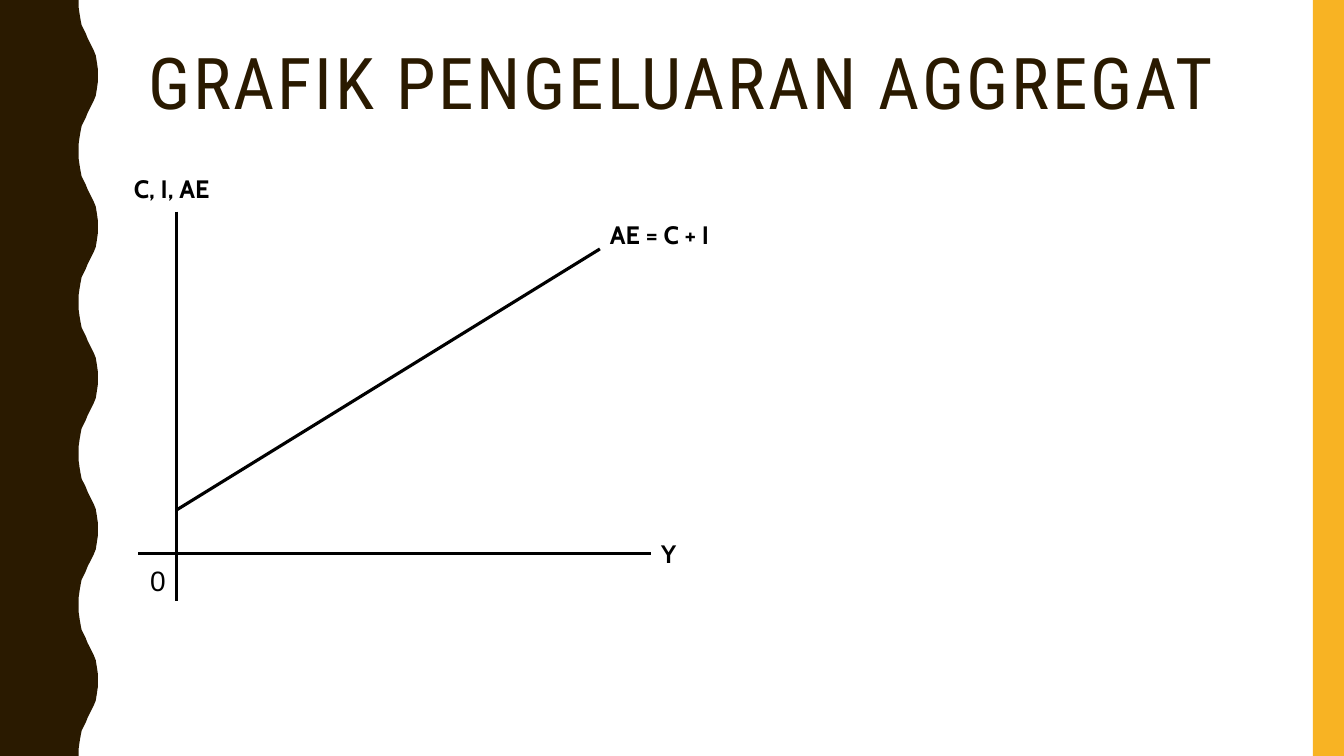
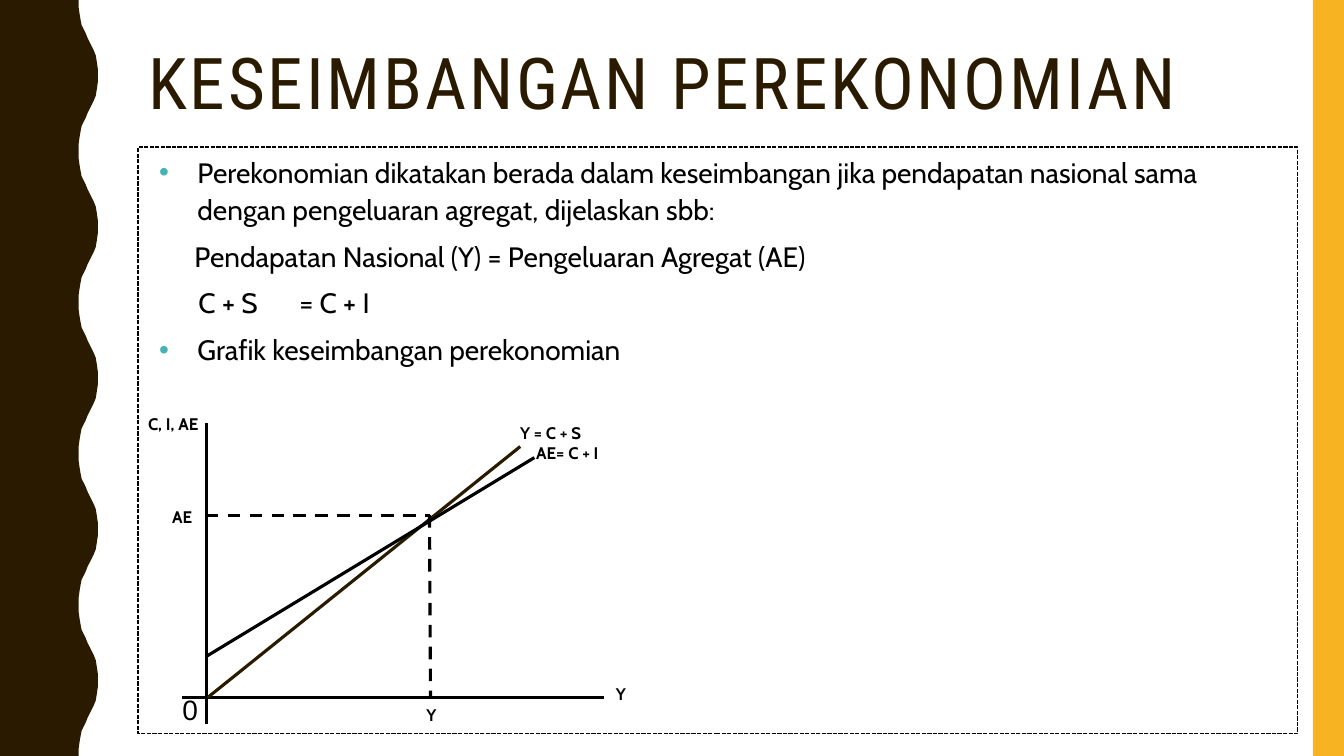
from dataclasses import dataclass

from lxml import etree
from pptx import Presentation
from pptx.dml.color import RGBColor
from pptx.enum.dml import MSO_LINE
from pptx.enum.shapes import MSO_CONNECTOR, MSO_SHAPE
from pptx.enum.text import MSO_ANCHOR, MSO_AUTO_SIZE, PP_ALIGN
from pptx.oxml.ns import qn
from pptx.presentation import Presentation as Deck
from pptx.shapes.autoshape import Shape
from pptx.slide import Slide
from pptx.util import Inches, Pt

SOLID = MSO_LINE.SOLID
DASH = MSO_LINE.DASH
FINE_DASH = MSO_LINE.SQUARE_DOT
STRAIGHT = MSO_CONNECTOR.STRAIGHT
RECTANGLE = MSO_SHAPE.RECTANGLE
TOP = MSO_ANCHOR.TOP
LEFT = PP_ALIGN.LEFT
NO_AUTOFIT = MSO_AUTO_SIZE.NONE

BLACK = "000000"
WHITE = "FFFFFF"
BROWN = "2A1A00"
YELLOW = "F8B323"
TEAL = "46B2B5"
TITLE_FONT = "Roboto Condensed"
TEXT_FONT = "Cabin"
ORIGIN_FONT = "Arial"

SLIDE_WIDTH = 13.33
SLIDE_HEIGHT = 7.5
BAND_WIDTH = 0.31
MARGIN_LEFT = 1.37
WAVE_PERIOD = 1.5
WAVE_COUNT = 5
WAVE_HALF = [
    (0.78, 0), (0.78, 0.07), (0.79, 0.14), (0.8, 0.2), (0.81, 0.25),
    (0.83, 0.29), (0.85, 0.33), (0.87, 0.38), (0.89, 0.42), (0.91, 0.46),
    (0.93, 0.5), (0.95, 0.55), (0.96, 0.61), (0.97, 0.68), (0.97, 0.75),
]


@dataclass(frozen=True)
class GraphLine:
    start: tuple[float, float]
    end: tuple[float, float]
    color: str = BLACK
    dash: MSO_LINE = SOLID


@dataclass(frozen=True)
class Label:
    text: str
    left: float
    top: float
    width: float
    size: int
    font: str = TEXT_FONT
    bold: bool = True


@dataclass(frozen=True)
class BodyParagraph:
    text: str
    margin: float = 0
    indent: float = 0
    bullet: bool = False
    tabs: tuple[float, ...] = ()


AGGREGATE_LINES = [
    GraphLine((1.75, 2.1), (1.75, 5.96)),
    GraphLine((1.37, 5.49), (6.46, 5.49)),
    GraphLine((1.75, 5.06), (5.95, 2.47)),
]
AGGREGATE_LABELS = [
    Label("0", 1.39, 5.54, 0.4, 20, ORIGIN_FONT, False),
    Label("AE = C + I", 5.95, 2.13, 1.44, 18),
    Label("C, I, AE", 1.23, 1.67, 1.04, 18),
    Label("Y", 6.46, 5.29, 0.38, 18),
]
BALANCE_LINES = [
    GraphLine((2.05, 4.2), (2.05, 7.18)),
    GraphLine((1.81, 6.92), (5.99, 6.92)),
    GraphLine((2.06, 6.92), (5.16, 4.43), BROWN),
    GraphLine((2.05, 6.51), (5.3, 4.54)),
    GraphLine((4.26, 5.11), (4.27, 6.92), dash=DASH),
    GraphLine((2.04, 5.11), (4.27, 5.11), dash=DASH),
]
BALANCE_LABELS = [
    Label("0", 1.71, 6.82, 0.4, 20, ORIGIN_FONT, False),
    Label("Y = C + S", 5.06, 4.14, 1.18, 12),
    Label("AE= C + I", 5.22, 4.34, 1.03, 12),
    Label("AE", 1.61, 4.98, 1.03, 12),
    Label("C, I, AE", 1.37, 4.06, 1.03, 12),
    Label("Y", 6.01, 6.73, 0.46, 12),
    Label("Y", 4.13, 6.94, 0.46, 12),
]
BALANCE_BODY = [
    BodyParagraph(
        "Perekonomian dikatakan berada dalam keseimbangan jika pendapatan nasional sama "
        "dengan pengeluaran agregat, dijelaskan sbb:",
        0.49, -0.38, bullet=True,
    ),
    BodyParagraph("Pendapatan Nasional (Y) = Pengeluaran Agregat (AE)", 0.46),
    BodyParagraph("\tC + S\t= C + I", tabs=(2.78, 3.55)),
    BodyParagraph("Grafik keseimbangan perekonomian", 0.49, -0.38, bullet=True),
]


def rgb(color: str) -> RGBColor:
    return RGBColor.from_string(color)


def fill_plain(shape: Shape, color: str) -> None:
    shape.shadow.inherit = False
    shape.fill.solid()
    shape.fill.fore_color.rgb = rgb(color)
    shape.line.fill.background()


def add_rectangle(slide: Slide, left: float, top: float, width: float, height: float, color: str) -> Shape:
    shape = slide.shapes.add_shape(RECTANGLE, Inches(left), Inches(top), Inches(width), Inches(height))
    fill_plain(shape, color)
    return shape


def add_wave(slide: Slide) -> None:
    mirrored = [(x, WAVE_PERIOD - y) for x, y in reversed(WAVE_HALF[:-1])]
    points = [
        (Inches(x), Inches(y + wave * WAVE_PERIOD))
        for wave in range(WAVE_COUNT)
        for x, y in WAVE_HALF + mirrored
    ]
    builder = slide.shapes.build_freeform(0, 0)
    builder.add_line_segments(points + [(0, Inches(SLIDE_HEIGHT))], close=True)
    fill_plain(builder.convert_to_shape(), BROWN)


def add_titled_slide(presentation: Deck, text: str, title_height: float) -> Slide:
    slide = presentation.slides.add_slide(presentation.slide_layouts[5])
    add_wave(slide)
    add_rectangle(slide, SLIDE_WIDTH - BAND_WIDTH, 0, BAND_WIDTH, SLIDE_HEIGHT, YELLOW)
    title = slide.shapes.title
    title.left, title.top = Inches(MARGIN_LEFT), Inches(0.42)
    title.width, title.height = Inches(11.13), Inches(title_height)
    frame = title.text_frame
    frame.text = text
    frame.vertical_anchor = TOP
    frame.auto_size = NO_AUTOFIT
    paragraph = frame.paragraphs[0]
    paragraph.alignment = LEFT
    paragraph.line_spacing = 0.9
    paragraph.font.name = TITLE_FONT
    paragraph.font.size = Pt(51)
    paragraph.font.color.rgb = rgb(BROWN)
    paragraph.runs[0].font._element.set("spc", "200")
    return slide


def add_graph_line(slide: Slide, line: GraphLine) -> None:
    (start_x, start_y), (end_x, end_y) = line.start, line.end
    connector = slide.shapes.add_connector(
        STRAIGHT, Inches(start_x), Inches(start_y), Inches(end_x), Inches(end_y)
    )
    connector.line.width = Pt(2.25)
    connector.line.color.rgb = rgb(line.color)
    connector.line.dash_style = line.dash
    etree.SubElement(connector._element.spPr, qn("a:effectLst"))


def add_label(slide: Slide, label: Label) -> None:
    height = 0.2 + label.size / 90
    box = slide.shapes.add_textbox(
        Inches(label.left), Inches(label.top), Inches(label.width), Inches(height)
    )
    frame = box.text_frame
    frame.word_wrap = True
    frame.text = label.text
    font = frame.paragraphs[0].font
    font.name = label.font
    font.size = Pt(label.size)
    font.bold = label.bold
    font.color.rgb = rgb(BLACK)


def add_graph(slide: Slide, lines: list[GraphLine], labels: list[Label]) -> None:
    for line in lines:
        add_graph_line(slide, line)
    for label in labels:
        add_label(slide, label)


def add_body(slide: Slide, items: list[BodyParagraph]) -> None:
    body = add_rectangle(slide, MARGIN_LEFT, 1.46, 11.5, 5.82, WHITE)
    body.line.color.rgb = rgb(BLACK)
    body.line.width = Pt(1)
    body.line.dash_style = FINE_DASH
    frame = body.text_frame
    frame.word_wrap = True
    frame.vertical_anchor = TOP
    for index, item in enumerate(items):
        paragraph = frame.add_paragraph() if index else frame.paragraphs[0]
        paragraph.text = item.text
        paragraph.alignment = LEFT
        paragraph.line_spacing = 1.1
        paragraph.space_before = Pt(7)
        paragraph.font.name = TEXT_FONT
        paragraph.font.size = Pt(20)
        paragraph.font.color.rgb = rgb(BLACK)
        properties = paragraph._p.get_or_add_pPr()
        properties.set("marL", str(Inches(item.margin)))
        properties.set("indent", str(Inches(item.indent)))
        extras = []
        if item.bullet:
            bullet_color = etree.Element(qn("a:buClr"))
            etree.SubElement(bullet_color, qn("a:srgbClr"), val=TEAL)
            extras += [
                bullet_color,
                etree.Element(qn("a:buFont"), typeface="Arial"),
                etree.Element(qn("a:buChar"), char="•"),
            ]
        if item.tabs:
            tab_list = etree.Element(qn("a:tabLst"))
            for position in item.tabs:
                etree.SubElement(tab_list, qn("a:tab"), pos=str(Inches(position)), algn="l")
            extras.append(tab_list)
        default_run = properties.find(qn("a:defRPr"))
        for extra in extras:
            default_run.addprevious(extra)


def main() -> None:
    presentation = Presentation()
    presentation.slide_width = Inches(SLIDE_WIDTH)
    presentation.slide_height = Inches(SLIDE_HEIGHT)

    aggregate = add_titled_slide(presentation, "GRAFIK PENGELUARAN AGGREGAT", 1.63)
    add_graph(aggregate, AGGREGATE_LINES, AGGREGATE_LABELS)

    balance = add_titled_slide(presentation, "KESEIMBANGAN PEREKONOMIAN", 1.04)
    add_body(balance, BALANCE_BODY)
    add_graph(balance, BALANCE_LINES, BALANCE_LABELS)

    presentation.save("out.pptx")


if __name__ == "__main__":
    main()
